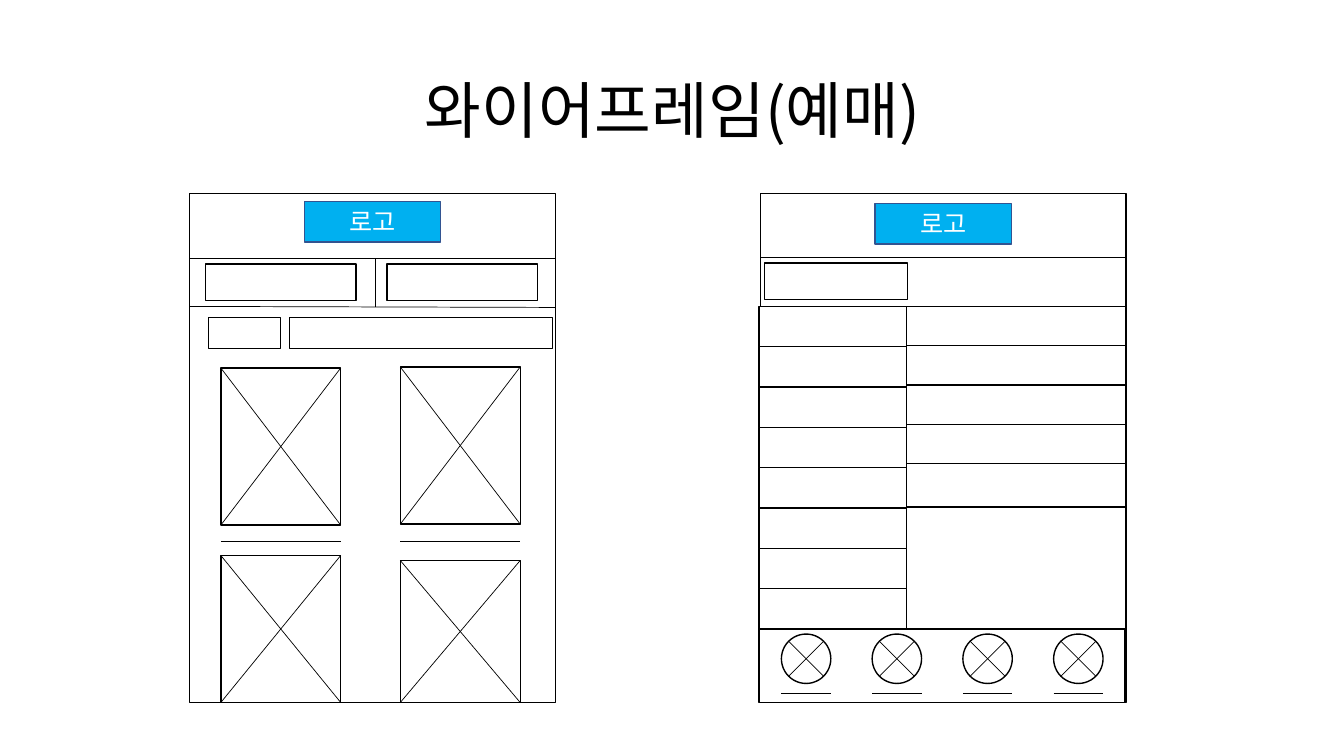
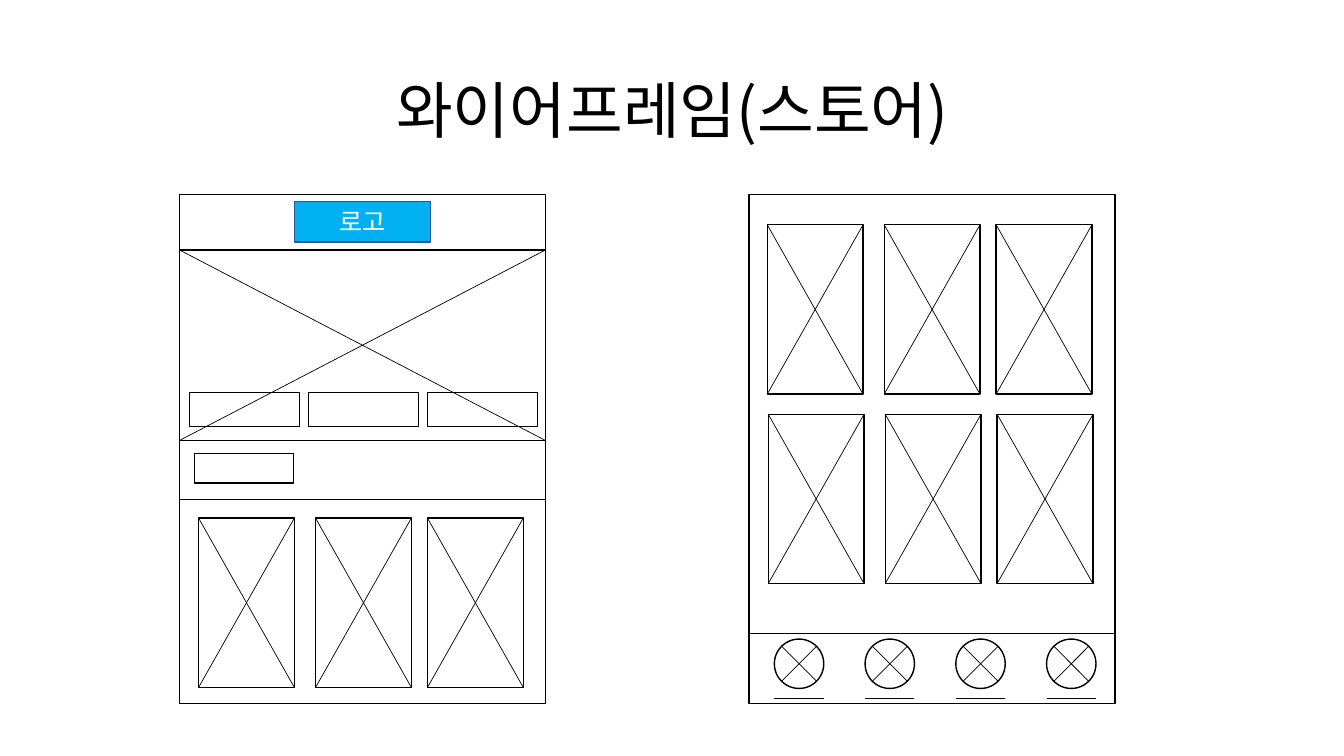
from lxml.etree import SubElement
from pptx import Presentation
from pptx.dml.color import RGBColor
from pptx.enum.shapes import MSO_CONNECTOR, MSO_SHAPE
from pptx.enum.text import MSO_ANCHOR, PP_ALIGN
from pptx.oxml.ns import qn
from pptx.util import Inches, Pt

BLACK = RGBColor(0x00, 0x00, 0x00)
WHITE = RGBColor(0xFF, 0xFF, 0xFF)
LOGO_FILL = RGBColor(0x00, 0xB0, 0xF0)
LOGO_LINE = RGBColor(0x32, 0x54, 0x91)
FONT = "Noto Sans CJK KR"

FRAME_WIDTH, FRAME_HEIGHT = 3.63, 5.05
ICON_SIZE, ICON_STEP = 0.49, 0.9


def add_line(slide, x1, y1, x2, y2):
    line = slide.shapes.add_connector(
        MSO_CONNECTOR.STRAIGHT, Inches(x1), Inches(y1), Inches(x2), Inches(y2))
    line.line.color.rgb = BLACK
    line.line.width = Pt(0.5)
    SubElement(line._element.spPr, qn("a:effectLst"))


def add_box(slide, left, top, width, height, kind=MSO_SHAPE.RECTANGLE,
            fill=WHITE, line=BLACK, weight=1, cross_inset=None):
    """Draw an outlined shape; cross_inset adds diagonals that far from its edges."""
    box = slide.shapes.add_shape(
        kind, Inches(left), Inches(top), Inches(width), Inches(height))
    box.shadow.inherit = False
    if fill is None:
        box.fill.background()
    else:
        box.fill.solid()
        box.fill.fore_color.rgb = fill
    box.line.color.rgb = line
    box.line.width = Pt(weight)
    if cross_inset is not None:
        x1, x2 = left + cross_inset, left + width - cross_inset
        y1, y2 = top + cross_inset, top + height - cross_inset
        add_line(slide, x1, y1, x2, y2)
        add_line(slide, x2, y1, x1, y2)
    return box


presentation = Presentation()
presentation.slide_width = Inches(13.33)
presentation.slide_height = Inches(7.5)

# Shared parts: title, two page frames and logos
pages = [
    ("와이어프레임(예매)", [(1.88, 1.92), (7.54, 1.92)], [(3.02, 2), (8.68, 2.02)]),
    ("와이어프레임(스토어)", [(1.78, 1.93), (7.43, 1.93)], [(2.92, 2)]),
]
slides = []
for title, frames, logos in pages:
    slide = presentation.slides.add_slide(presentation.slide_layouts[6])
    slides.append(slide)
    title_box = slide.shapes.add_textbox(
        Inches(0.92), Inches(0.4), Inches(11.5), Inches(1.45))
    title_box.text_frame.word_wrap = True
    title_box.text_frame.vertical_anchor = MSO_ANCHOR.MIDDLE
    labels = [(title_box, title, 44, BLACK)]
    for left, top in frames:
        add_box(slide, left, top, FRAME_WIDTH, FRAME_HEIGHT)
    for left, top in logos:
        logo = add_box(slide, left, top, 1.35, 0.4, fill=LOGO_FILL, line=LOGO_LINE)
        labels.append((logo, "로고", 18, WHITE))
    for shape, text, size, color in labels:
        paragraph = shape.text_frame.paragraphs[0]
        paragraph.text = text
        paragraph.alignment = PP_ALIGN.CENTER
        paragraph.line_spacing = 0.9 if shape is title_box else 1.0
        run = paragraph.runs[0]
        run.font.size = Pt(size)
        run.font.name = FONT
        run.font.color.rgb = color
        SubElement(run.font._element, qn("a:ea"), typeface=FONT)

booking, store = slides

# Booking, left page: tabs and search bar
add_line(booking, 1.88, 2.56, 5.51, 2.56)
add_line(booking, 1.88, 3.04, 5.51, 3.05)
add_line(booking, 3.72, 2.56, 3.72, 3.05)
for left in (2.04, 3.84):
    add_box(booking, left, 2.62, 1.49, 0.36)
for left, width in ((2.07, 0.71), (2.87, 2.61)):
    add_box(booking, left, 3.15, width, 0.31)

# Booking, left page: posters with captions
for left, first_top, second_top in ((2.19, 3.65, 5.51), (3.97, 3.64, 5.56)):
    add_box(booking, left, first_top, 1.19, 1.56, cross_inset=0)
    add_box(booking, left, second_top, 1.19, 6.97 - second_top, cross_inset=0)
    add_line(booking, left, 5.37, left + 1.19, 5.37)

# Booking, right page: heading and two lists
add_line(booking, 7.54, 2.55, 11.17, 2.55)
add_box(booking, 7.58, 2.61, 1.42, 0.36)
add_line(booking, 7.54, 3.04, 11.17, 3.04)
for row in range(8):
    add_box(booking, 7.53, 3.04 + 0.4 * row, 1.46, 0.4)
add_box(booking, 7.53, 6.24, FRAME_WIDTH, 0.73)
for row in range(5):
    add_box(booking, 8.99, 3.04 + 0.39 * row, 2.18, 0.43 if row == 4 else 0.4)

# Store, left page: banner with buttons, heading
add_box(store, 1.78, 2.48, FRAME_WIDTH, 1.89, cross_inset=0)
for column in range(3):
    add_box(store, 1.88 + 1.18 * column, 3.89, 1.09, 0.34, fill=None, weight=0.75)
add_box(store, 1.93, 4.5, 0.98, 0.29)
add_line(store, 1.78, 4.95, 5.41, 4.95)

# Store, both pages: rows of three products
for row_left, top in ((1.97, 5.14), (7.61, 2.23), (7.62, 4.11)):
    for offset in (0, 1.16, 2.27):
        add_box(store, row_left + offset, top, 0.95, 1.68, cross_inset=0)
add_line(store, 7.43, 6.28, 11.06, 6.28)

# Bottom menu icons on both right pages
for slide, menu_left, top in ((booking, 7.75, 6.29), (store, 7.68, 6.34)):
    for column in range(4):
        left = menu_left + ICON_STEP * column
        add_box(slide, left, top, ICON_SIZE, ICON_SIZE,
                kind=MSO_SHAPE.OVAL, cross_inset=0.07)
        add_line(slide, left, top + 0.59, left + ICON_SIZE, top + 0.59)

presentation.save("out.pptx")
